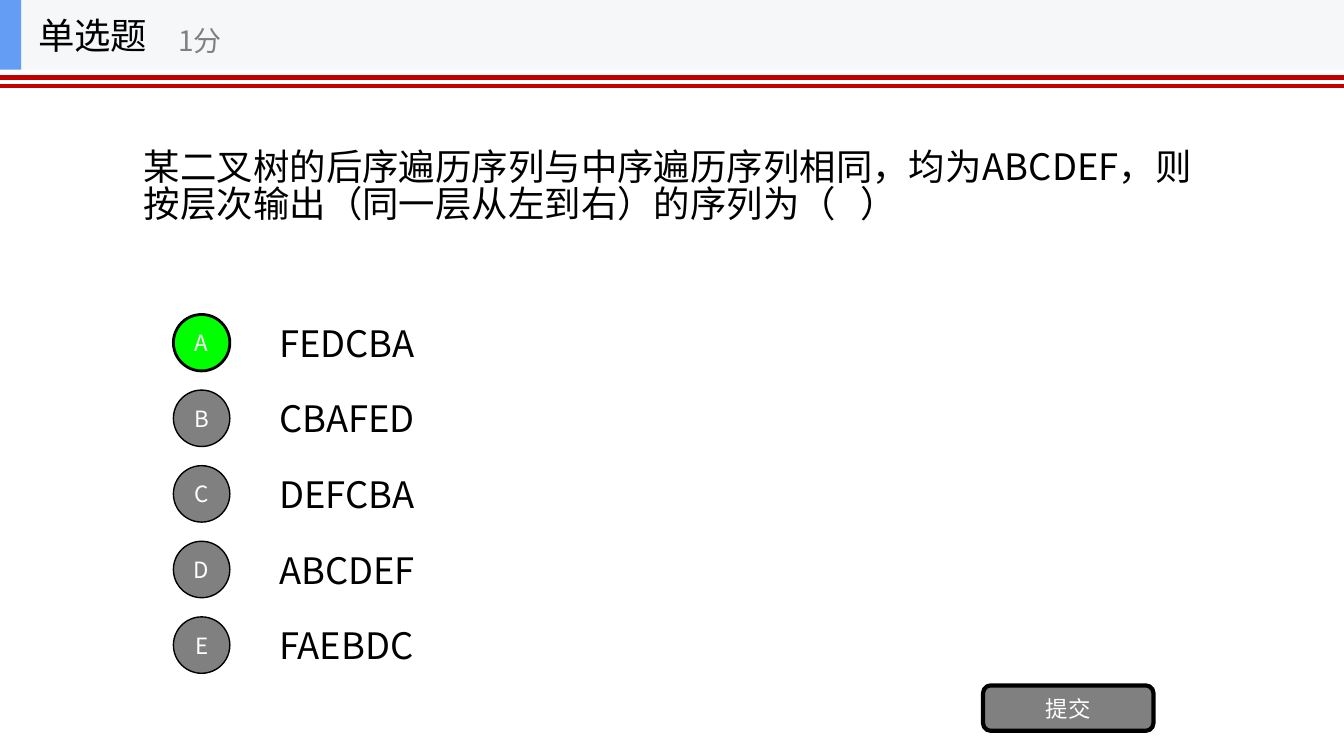
import lxml.etree
import pptx
import pptx.util
import pptx.dml.color
import pptx.enum.shapes
import pptx.enum.text
import pptx.oxml.ns

Inches = pptx.util.Inches
Kind = pptx.enum.shapes.MSO_SHAPE
Align = pptx.enum.text.PP_ALIGN
FONT = "Noto Sans CJK SC"


def color(fill, code):
    fill.solid()
    fill.fore_color.rgb = pptx.dml.color.RGBColor.from_string(code)


def write(text, box=None, shape=None, size=26, ink="000000", align=Align.LEFT, space=1.0):
    if shape is None:
        shape = slide.shapes.add_textbox(*map(Inches, box))
    frame = shape.text_frame
    frame.word_wrap = True
    frame.vertical_anchor = pptx.enum.text.MSO_ANCHOR.MIDDLE
    para = frame.paragraphs[0]
    para.alignment = align
    para.line_spacing = space
    run = para.add_run()
    run.text = text
    run.font.size = pptx.util.Pt(size)
    run.font.name = FONT
    color(run.font.fill, ink)
    east = lxml.etree.SubElement(run.font._element, pptx.oxml.ns.qn("a:ea"))
    east.set("typeface", FONT)


deck = pptx.Presentation()
deck.slide_width = Inches(13.33)
deck.slide_height = Inches(7.5)
slide = deck.slides.add_slide(deck.slide_layouts[6])

for y in (0.77, 0.85):
    rule = slide.shapes.add_connector(
        pptx.enum.shapes.MSO_CONNECTOR.STRAIGHT, 0, Inches(y), Inches(13.33), Inches(y)
    )
    color(rule.line.fill, "C30000")
    rule.line.width = pptx.util.Pt(3)
    lxml.etree.SubElement(rule._element.spPr, pptx.oxml.ns.qn("a:effectLst"))

for width, code in ((13.33, "F6F7F8"), (0.21, "639EF4")):
    bar = slide.shapes.add_shape(Kind.RECTANGLE, 0, 0, Inches(width), Inches(0.69))
    bar.shadow.inherit = False
    color(bar.fill, code)
    bar.line.fill.background()

write("单选题", (0.28, 0, 2.08, 0.69))
write("1分", (1.67, 0.12, 2.5, 0.56), size=20, ink="808080")
write(
    "某二叉树的后序遍历序列与中序遍历序列相同，均为ABCDEF，则按层次输出（同一层从左到右）的序列为（   ）",
    (1.33, 0.69, 10.67, 2.34),
    space=0.85,
)

keys = [("提交", Kind.ROUNDED_RECTANGLE, (9.75, 6.8, 1.69, 0.45), "808080", 3)]
for row, answer in enumerate(("FEDCBA", "CBAFED", "DEFCBA", "ABCDEF", "FAEBDC")):
    top = 3.05 + 0.75 * row
    write(answer, (2.67, top, 9.33, 0.7))
    fill, weight = ("808080", 1) if row else ("00FF00", 2)
    keys.append(("ABCDE"[row], Kind.OVAL, (1.72, top + 0.07, 0.56, 0.56), fill, weight))

for label, kind, box, fill, weight in keys:
    key = slide.shapes.add_shape(kind, *map(Inches, box))
    key.shadow.inherit = False
    color(key.fill, fill)
    color(key.line.fill, "000000")
    key.line.width = pptx.util.Pt(weight)
    write(label, shape=key, size=16, ink="FFFFFF", align=Align.CENTER)

deck.save("out.pptx")
